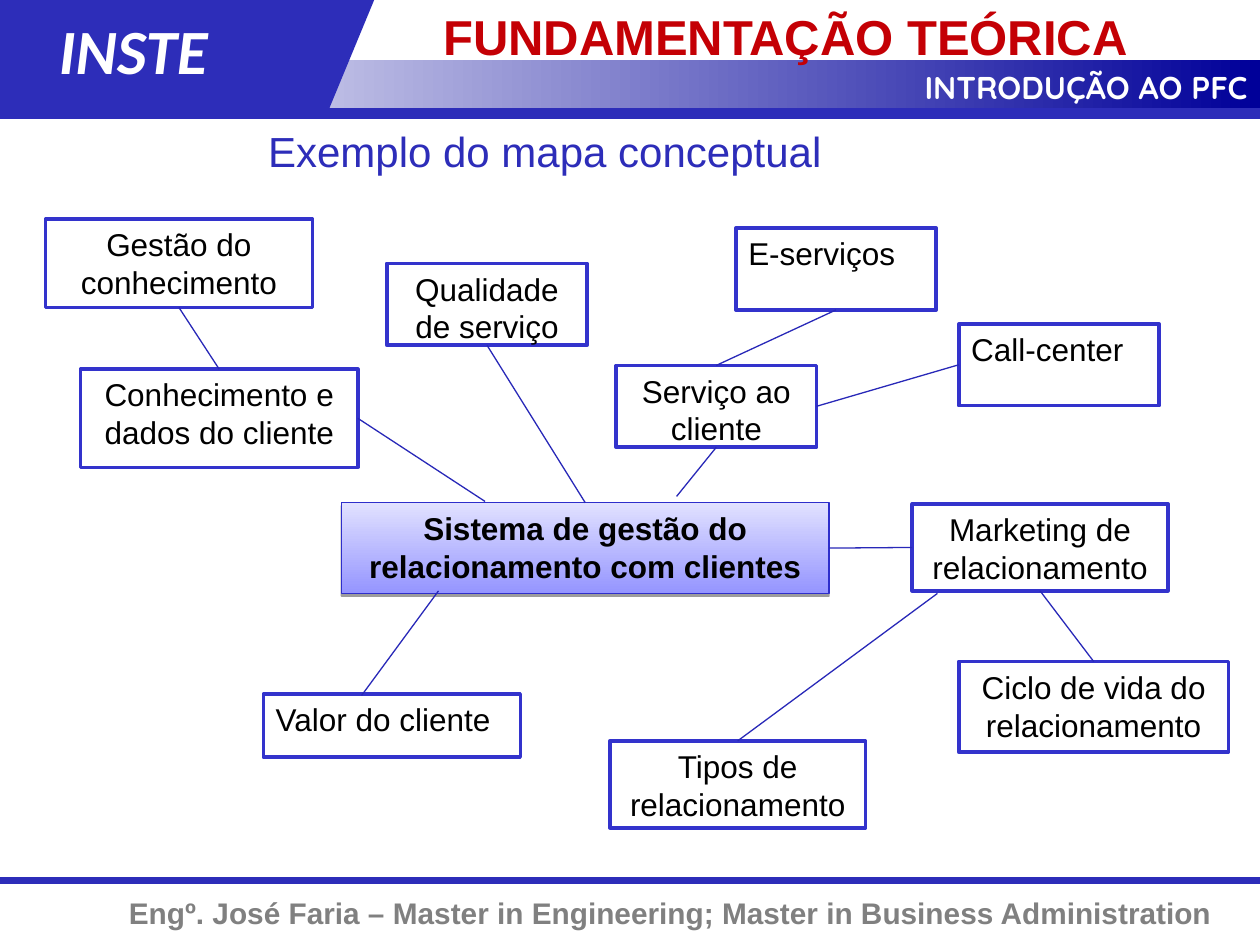
from lxml import etree
from pptx import Presentation
from pptx.dml.color import RGBColor
from pptx.enum.shapes import MSO_CONNECTOR, MSO_SHAPE
from pptx.enum.text import MSO_ANCHOR, PP_ALIGN
from pptx.oxml import parse_xml
from pptx.oxml.ns import nsdecls, qn
from pptx.util import Inches, Pt

RECTANGLE, SLANTED = MSO_SHAPE.RECTANGLE, MSO_SHAPE.FLOWCHART_DATA
STRAIGHT = MSO_CONNECTOR.STRAIGHT
LEFT, CENTER, RIGHT = PP_ALIGN.LEFT, PP_ALIGN.CENTER, PP_ALIGN.RIGHT
TOP_SIDE, LEFT_SIDE, BOTTOM_SIDE, RIGHT_SIDE = range(4)

BLUE = RGBColor(0x2D, 0x2D, 0xB9)
NAVY = RGBColor(0x00, 0x00, 0x99)
BORDER = RGBColor(0x33, 0x33, 0xCC)
CORE_BORDER = RGBColor(0x2E, 0x2E, 0xCB)
LINK = RGBColor(0x28, 0x28, 0xB8)
CORE_DARK = RGBColor(0x95, 0x95, 0xFF)
CORE_LIGHT = RGBColor(0xE1, 0xE1, 0xFF)
RED = RGBColor(0xC4, 0x00, 0x05)
GRAY = RGBColor(0x80, 0x80, 0x80)
WHITE = RGBColor(0xFF, 0xFF, 0xFF)
BLACK = RGBColor(0x00, 0x00, 0x00)

# Text boxes: text, place, alignment, font, size, colour, bold, italic
LABELS = [
    ("Engº. José Faria – Master in Engineering; Master in Business Administration",
     (0, 7.05, 9.72, 0.39), RIGHT, "Arial", 17, GRAY, True, False),
    ("INTRODUÇÃO AO PFC", (4.36, 0.49, 5.64, 0.4),
     RIGHT, "Quicksand", 18, WHITE, True, False),
    ("INSTE", (0.37, 0.04, 1.93, 0.7), LEFT, "Calibri", 36, WHITE, True, True),
    ("Exemplo do mapa conceptual", (2.03, 0.95, 4.74, 0.5),
     LEFT, "Arial", 24, BLUE, False, False),
    ("FUNDAMENTAÇÃO TEÓRICA", (3.42, 0, 6.58, 0.48),
     LEFT, "Arial", 28, RED, True, False),
]

# Concepts: key -> text, place, alignment
CONCEPTS = {
    "system": ("Sistema de gestão do relacionamento com clientes",
               (2.71, 3.99, 3.87, 0.72), CENTER),
    "service": ("Serviço ao cliente", (4.89, 2.9, 1.59, 0.65), CENTER),
    "e-services": ("E-serviços", (5.84, 1.81, 1.59, 0.65), LEFT),
    "call": ("Call-center", (7.61, 2.57, 1.59, 0.65), LEFT),
    "marketing": ("Marketing de relacionamento", (7.24, 4, 2.03, 0.69), CENTER),
    "cycle": ("Ciclo de vida do relacionamento", (7.61, 5.25, 2.14, 0.72), CENTER),
    "types": ("Tipos de relacionamento", (4.84, 5.88, 2.03, 0.69), CENTER),
    "value": ("Valor do cliente", (2.09, 5.51, 2.04, 0.5), LEFT),
    "data": ("Conhecimento e dados do cliente", (0.64, 2.93, 2.2, 0.78), CENTER),
    "knowledge": ("Gestão do conhecimento", (0.36, 1.74, 2.12, 0.7), CENTER),
    "quality": ("Qualidade de serviço", (3.07, 2.09, 1.59, 0.65), CENTER),
}

# Links: each end is a concept's side or a free point
LINKS = [
    ((3.48, 4.69), (2.87, 5.52)),
    ((5.37, 3.94), ("service", BOTTOM_SIDE)),
    (("service", TOP_SIDE), ("e-services", BOTTOM_SIDE)),
    (("service", RIGHT_SIDE), ("call", LEFT_SIDE)),
    (("system", RIGHT_SIDE), ("marketing", LEFT_SIDE)),
    (("system", TOP_SIDE), ("quality", BOTTOM_SIDE)),
    ((3.85, 3.98), ("data", RIGHT_SIDE)),
    (("data", TOP_SIDE), ("knowledge", BOTTOM_SIDE)),
    ((7.44, 4.71), ("types", TOP_SIDE)),
    (("marketing", BOTTOM_SIDE), ("cycle", TOP_SIDE)),
]


def inches(values):
    return [Inches(value) for value in values]


def add_block(page, kind, place, color):
    block = page.shapes.add_shape(kind, *inches(place))
    block.shadow.inherit = False
    block.fill.solid()
    block.fill.fore_color.rgb = color
    block.line.fill.background()
    return block


def set_gradient(shape, start, end, angle):
    shape.fill.gradient()
    shape.fill.gradient_angle = angle
    for stop, color, position in zip(shape.fill.gradient_stops, (start, end), (0, 1)):
        stop.color.rgb = color
        stop.position = position


def write(shape, text, align, font, size, color, bold=False, italic=False):
    frame = shape.text_frame
    frame.word_wrap = True
    frame.vertical_anchor = MSO_ANCHOR.TOP
    frame.text = text
    para = frame.paragraphs[0]
    para.alignment = align
    span = para.runs[0].font
    span.name, span.size, span.color.rgb = font, Pt(size), color
    span.bold, span.italic = bold, italic


def add_line(page, start, end, color, width):
    line = page.shapes.add_connector(STRAIGHT, *inches(start + end))
    line.line.color.rgb = color
    line.line.width = Pt(width)
    etree.SubElement(line._element.spPr, qn("a:effectLst"))
    return line


def side_point(key, side):
    left, top, width, height = CONCEPTS[key][1]
    return {
        TOP_SIDE: (left + width / 2, top),
        LEFT_SIDE: (left, top + height / 2),
        BOTTOM_SIDE: (left + width / 2, top + height),
        RIGHT_SIDE: (left + width, top + height / 2),
    }[side]


deck = Presentation()
deck.slide_width, deck.slide_height = Inches(10), Inches(7.5)
page = deck.slides.add_slide(deck.slide_layouts[6])

# Header and footer bands
add_line(page, (0, 6.99), (10, 6.99), BLUE, 4)
band = add_block(page, RECTANGLE, (0, 0.48, 10, 0.39), WHITE)
set_gradient(band, WHITE, NAVY, 0)
add_block(page, SLANTED, (1.17, 0, 1.8, 0.87), BLUE)
add_block(page, RECTANGLE, (0, 0, 1.59, 0.87), BLUE)
add_line(page, (0, 0.9), (10, 0.9), BLUE, 6)

# Titles and footer text
for text, place, *style in LABELS:
    write(page.shapes.add_textbox(*inches(place)), text, *style)

# Concept boxes
boxes = {}
for key, (text, place, align) in CONCEPTS.items():
    box = add_block(page, RECTANGLE, place, WHITE)
    box.line.color.rgb = BORDER
    box.line.width = Pt(2)
    write(box, text, align, "Arial", 18, BLACK, bold=key == "system")
    boxes[key] = box

# Central concept: gradient and soft lower shadow
core = boxes["system"]
set_gradient(core, CORE_DARK, CORE_LIGHT, 90)
core.line.color.rgb = CORE_BORDER
core.line.width = Pt(0.75)
core._element.spPr.find(qn("a:effectLst")).append(parse_xml(
    f'<a:outerShdw {nsdecls("a")} blurRad="0" dist="{Pt(1.6)}" dir="5400000" '
    'rotWithShape="0"><a:srgbClr val="000000"><a:alpha val="38000"/>'
    '</a:srgbClr></a:outerShdw>'))

# Links between concepts
for ends in LINKS:
    glued = [end[0] in boxes for end in ends]
    points = [side_point(*end) if on_box else end for end, on_box in zip(ends, glued)]
    link = add_line(page, *points, LINK, 0.75)
    for end, on_box, connect in zip(ends, glued, (link.begin_connect, link.end_connect)):
        if on_box:
            connect(boxes[end[0]], end[1])

deck.save("out.pptx")
